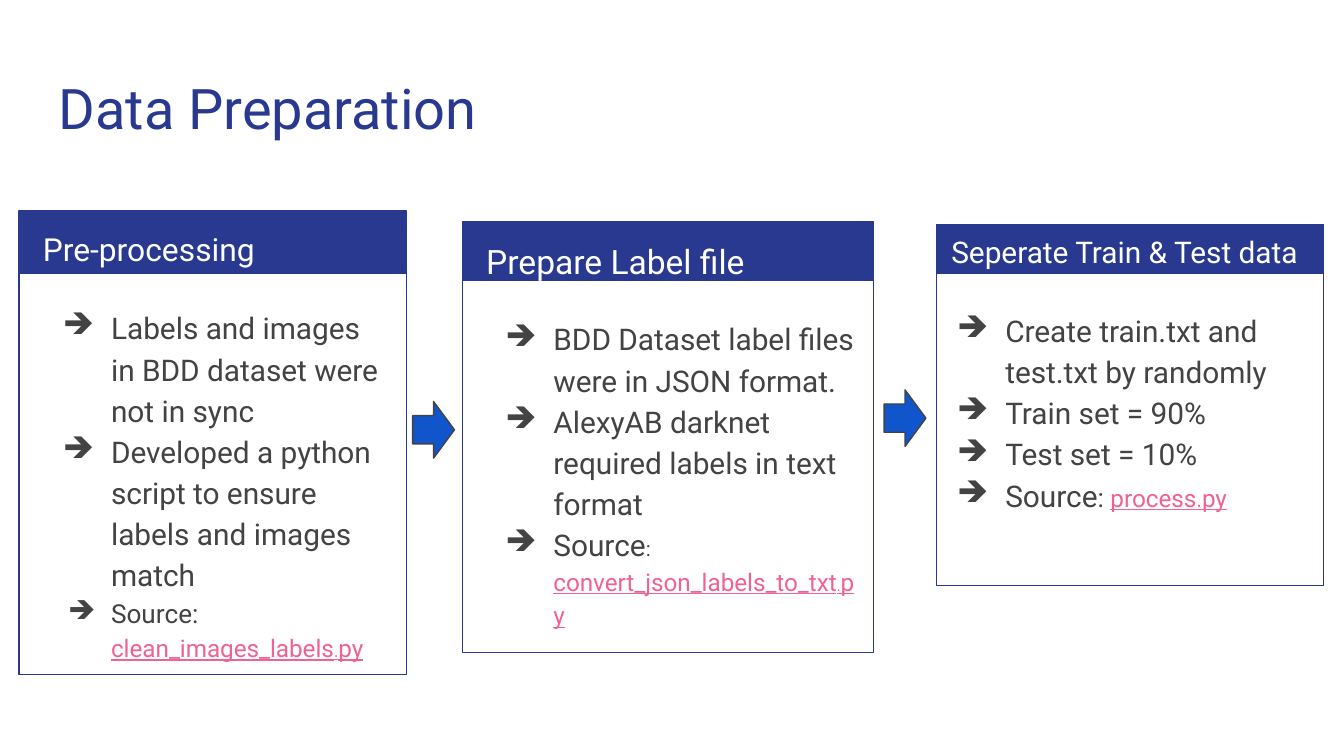
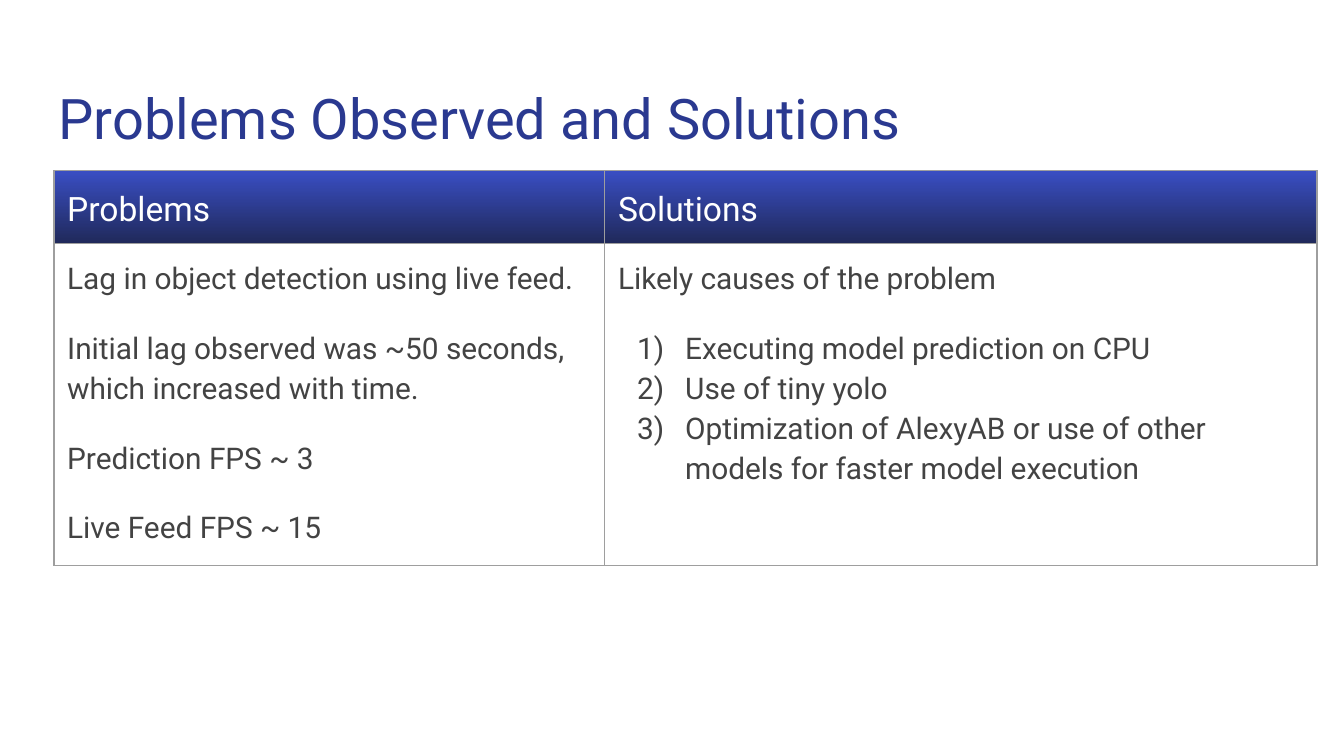
from lxml.etree import SubElement
from pptx import Presentation
from pptx.dml.color import RGBColor
from pptx.enum.shapes import MSO_SHAPE as SHAPE
from pptx.enum.text import MSO_ANCHOR as ANCHOR
from pptx.oxml import parse_xml
from pptx.oxml.ns import nsdecls, qn
from pptx.util import Cm, Pt

rgb = RGBColor.from_string
NAVY, GREY, WHITE, PINK, BLUE = "2A3990", "434343", "FFFFFF", "F06292", "1155CC"
INSET = Cm(0.25)
ARROW = ("buChar", {"char": "➔"})
NUMBER = ("buAutoNum", {"type": "arabicParenBoth"[:6] + "ParenR"})
MARGINS = dict.fromkeys(["margin_left", "margin_top", "margin_right", "margin_bottom"], INSET)


def write(tf, paragraphs, size, color, spacing=1.15):
    for k, v in {**MARGINS, "word_wrap": True, "vertical_anchor": ANCHOR.TOP}.items():
        setattr(tf, k, v)
    for i, (runs, mark, before) in enumerate(paragraphs):
        p = tf.paragraphs[0] if i == 0 else tf.add_paragraph()
        p.line_spacing, p.space_before = spacing, Pt(before)
        if mark:
            pPr = p._p.get_or_add_pPr()
            hang = 0.81 if runs[0][1:] == (14,) else 0.91
            pPr.set("marL", str(Cm(1.27)))
            pPr.set("indent", str(-Cm(hang)))
            clr = SubElement(pPr, qn("a:buClr"))
            SubElement(clr, qn("a:srgbClr"), val=GREY)
            SubElement(pPr, qn("a:" + mark[0]), mark[1])
        for text, *style in runs:
            r = p.add_run()
            r.text = text
            run_size, run_color, name = (style + [size, color, "Roboto"][len(style):])
            fmt = {"size": Pt(run_size), "name": name, "underline": run_color == PINK}
            for k, v in fmt.items():
                setattr(r.font, k, v)
            r.font.color.rgb = rgb(run_color)


def add_box(s, kind, at, fill=None, line=None):
    sp = s.shapes.add_shape(kind, *map(Cm, at))
    sp.shadow.inherit = False
    for fmt, color in ((sp.fill, fill), (sp.line.fill, line)):
        if color:
            fmt.solid()
            fmt.fore_color.rgb = rgb(color)
        else:
            fmt.background()
    if line:
        sp.line.width = Pt(0.75)


prs = Presentation()
prs.slide_width, prs.slide_height = Cm(25.4), Cm(14.29)
slides = []
for title, spacing in (("Data Preparation", 1), ("Problems Observed and Solutions", 1.15)):
    s = prs.slides.add_slide(prs.slide_layouts[6])
    tf = s.shapes.add_textbox(Cm(0.86), Cm(1.14), Cm(23.67), Cm(1.68)).text_frame
    write(tf, [([(title,)], None, 0)], 30, NAVY, spacing)
    slides.append(s)
steps, findings = slides

cards = [
    {
        "frame": (0.36, 3.99, 7.32, 8.76), "band": 1.19,
        "head": ("Pre-processing", 17, (0.56, 3.99, 6.93, 1.27)),
        "body": (0.58, 5.51, 6.88, 7.26),
        "items": ["Labels and images in BDD dataset were not in sync",
                  "Developed a python script to ensure labels and images match"],
        "source": [("Source: ", 14)], "script": "clean_images_labels", "dot": 9,
    },
    {
        "frame": (8.74, 4.19, 7.77, 8.15), "band": 1.12,
        "head": ("Prepare Label file", 18, (8.94, 4.19, 6.93, 1.27)),
        "body": (8.94, 5.72, 7.57, 6.07),
        "items": ["BDD Dataset label files were in JSON format.",
                  "AlexyAB darknet required labels in text format"],
        "source": [("Source",), (": ", 11)], "script": "convert_json_labels_to_txt", "dot": 8,
    },
    {
        "frame": (17.7, 4.24, 7.32, 6.83), "band": 0.94,
        "head": ("Seperate Train & Test data", 16, (17.73, 4.06, 7.67, 1.37)),
        "body": (17.48, 5.56, 6.88, 4.45),
        "items": ["Create train.txt and test.txt by randomly", "Train set = 90%", "Test set = 10%"],
        "source": [("Source",), (": ", 14)], "script": "process", "dot": 11,
    },
]
for card in cards:
    x, y, w, h = card["frame"]
    add_box(steps, SHAPE.RECTANGLE, (x, y, w, card["band"]), fill=NAVY)
    add_box(steps, SHAPE.RECTANGLE, (x, y, w, h), line=NAVY)
    text, size, at = card["head"]
    tf = steps.shapes.add_textbox(*map(Cm, at)).text_frame
    write(tf, [([(text,)], None, 0)], size, WHITE)
    link = [(card["script"], 13, PINK), (".", card["dot"], PINK, "Arial"), ("py", 13, PINK)]
    items = [[(item,)] for item in card["items"]] + [card["source"] + link]
    tf = steps.shapes.add_textbox(*map(Cm, card["body"])).text_frame
    write(tf, [(runs, ARROW, 0) for runs in items], 16, GREY)

for x, y in ((7.8, 7.59), (16.71, 7.37)):
    add_box(steps, SHAPE.RIGHT_ARROW, (x, y, 0.79, 1.07), fill=BLUE, line=GREY)

problems = ["Lag in object detection using live feed.",
            "Initial lag observed was ~50 seconds, which increased with time.",
            "Prediction FPS ~ 3", "Live Feed FPS ~ 15"]
causes = ["Executing model prediction on CPU", "Use of tiny yolo",
          "Optimization of AlexyAB or use of other models for faster model execution"]
columns = [
    ("Problems", 10.41, [([(t,)], None, 16 if i else 0) for i, t in enumerate(problems)]),
    ("Solutions", 13.46, [([("Likely causes of the problem",)], None, 0)]
     + [([(t,)], NUMBER, 0 if i else 16) for i, t in enumerate(causes)]),
]
table = findings.shapes.add_table(2, 2, Cm(1.02), Cm(3.23), Cm(23.87), Cm(7.34)).table
table.first_row = table.horz_banding = False
for row, height in zip(table.rows, (1.37, 5.97)):
    row.height = Cm(height)
for c, (heading, width, paragraphs) in enumerate(columns):
    table.columns[c].width = Cm(width)
    head, body = table.cell(0, c), table.cell(1, c)
    write(head.text_frame, [([(heading,)], None, 0)], 18, WHITE)
    write(body.text_frame, paragraphs, 16, GREY)
    head.fill.gradient()
    head.fill.gradient_angle = 270
    for stop, color in zip(head.fill.gradient_stops, ("394EC3", "20295A")):
        stop.color.rgb = rgb(color)
    body.fill.background()
    for cell in (head, body):
        for k, v in {**MARGINS, "vertical_anchor": ANCHOR.TOP}.items():
            setattr(cell, k, v)
        tcPr = cell._tc.get_or_add_tcPr()
        for i, side in enumerate("LRTB"):
            tcPr.insert(i, parse_xml(
                f'<a:ln{side} {nsdecls("a")} w="{Pt(0.75)}"><a:solidFill>'
                f'<a:srgbClr val="9E9E9E"/></a:solidFill></a:ln{side}>'))

prs.save("out.pptx")
